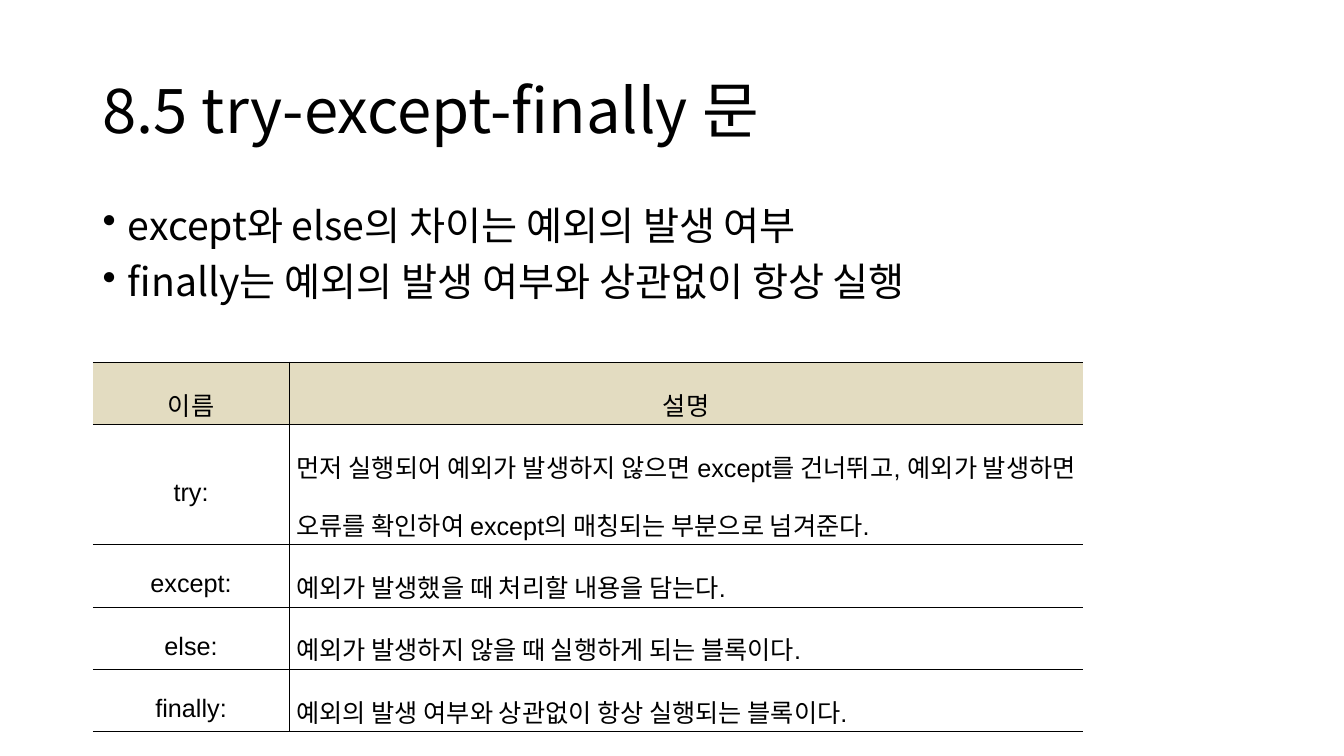
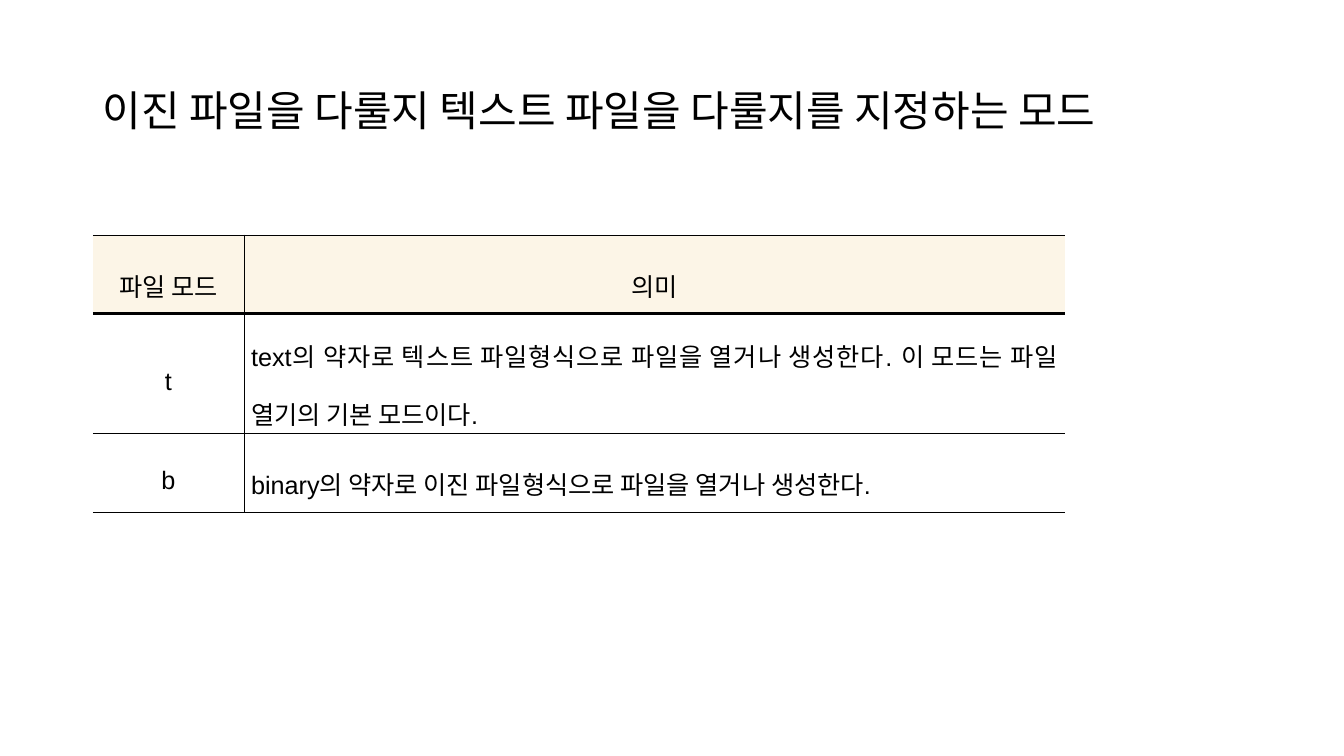
from dataclasses import dataclass

from lxml.etree import SubElement
from pptx import Presentation
from pptx.dml.color import RGBColor
from pptx.enum.text import MSO_ANCHOR as Anchor, PP_ALIGN as Align
from pptx.oxml.ns import qn
from pptx.util import Pt

EMU_PER_PX = 9144  # 100 px to the inch


def px(length: int) -> int:
    return length * EMU_PER_PX


@dataclass(frozen=True)
class Theme:
    ink: str = "000000"
    paper: str = "FFFFFF"
    sand: str = "E3DCC1"
    cream: str = "FCF5E7"
    heading_font: str = "Noto Sans CJK KR"
    cell_font: str = "Arial"
    title_size: int = 44
    small_title_size: int = 30
    body_size: int = 28
    cell_size: int = 18
    thin: float = 0.28
    thick: float = 1.98


THEME = Theme()


@dataclass(frozen=True)
class Box:
    left: int
    top: int
    width: int
    height: int


TITLE_BOX = Box(92, 40, 1150, 145)
BODY_BOX = Box(92, 200, 1150, 476)


@dataclass(frozen=True)
class TableSpec:
    top: int
    columns: tuple[int, ...]
    heights: tuple[int, ...]
    header_fill: str
    header_rule: float  # width of the line under the header
    rows: tuple[tuple[str, str], ...]


@dataclass(frozen=True)
class SlideSpec:
    title: str
    title_size: int
    bullets: tuple[str, ...]
    table: TableSpec


SLIDES = (
    SlideSpec(
        "8.5 try-except-finally 문",
        THEME.title_size,
        (
            "except와 else의 차이는 예외의 발생 여부",
            "finally는 예외의 발생 여부와 상관없이 항상 실행",
        ),
        TableSpec(
            359, (195, 787), (62, 119, 62, 62, 62), THEME.sand, THEME.thin,
            (
                ("이름", "설명"),
                ("try:", "먼저 실행되어 예외가 발생하지 않으면 except를 건너뛰고, 예외가 "
                         "발생하면 오류를 확인하여 except의 매칭되는 부분으로 넘겨준다."),
                ("except:", "예외가 발생했을 때 처리할 내용을 담는다."),
                ("else:", "예외가 발생하지 않을 때 실행하게 되는 블록이다."),
                ("finally:", "예외의 발생 여부와 상관없이 항상 실행되는 블록이다."),
            ),
        ),
    ),
    SlideSpec(
        "이진 파일을 다룰지 텍스트 파일을 다룰지를 지정하는 모드",
        THEME.small_title_size,
        (),
        TableSpec(
            233, (150, 814), (78, 119, 78), THEME.cream, THEME.thick,
            (
                ("파일 모드", "의미"),
                ("t", "text의 약자로 텍스트 파일형식으로 파일을 열거나 생성한다. "
                      "이 모드는 파일 열기의 기본 모드이다."),
                ("b", "binary의 약자로 이진 파일형식으로 파일을 열거나 생성한다."),
            ),
        ),
    ),
)


def style_paragraph(paragraph, font_name: str, size: int, spacing: float) -> None:
    paragraph.line_spacing = spacing
    font = paragraph.font
    font.name, font.size = font_name, Pt(size)
    font.color.rgb = RGBColor.from_string(THEME.ink)
    # Korean glyphs always come from the heading font
    properties = paragraph._p.pPr.find(qn("a:defRPr"))
    SubElement(properties, qn("a:ea"), typeface=THEME.heading_font)


def add_bullet(paragraph) -> None:
    properties = paragraph._p.pPr
    properties.set("marL", str(px(25)))
    properties.set("indent", str(px(-25)))
    bullet = SubElement(properties, qn("a:buChar"), char="•")
    properties.find(qn("a:defRPr")).addprevious(bullet)


def add_text(slide, box: Box, lines: tuple[str, ...], size: int,
             anchor: Anchor, bulleted: bool = False) -> None:
    shape = slide.shapes.add_textbox(
        px(box.left), px(box.top), px(box.width), px(box.height))
    frame = shape.text_frame
    frame.word_wrap = True
    frame.vertical_anchor = anchor
    frame.text = "\n".join(lines)
    for paragraph in frame.paragraphs:
        if bulleted:
            paragraph.space_before = Pt(10)
        style_paragraph(paragraph, THEME.heading_font, size, 0.9)
        if bulleted:
            add_bullet(paragraph)


def set_borders(cell, left: float, right: float, top: float, bottom: float) -> None:
    """Draw the four cell sides; a width of zero hides a side."""
    properties = cell._tc.get_or_add_tcPr()
    for side, width in zip("LRTB", (left, right, top, bottom)):
        line = SubElement(properties, qn(f"a:ln{side}"), w=str(int(Pt(width))))
        if width:
            fill = SubElement(line, qn("a:solidFill"))
            SubElement(fill, qn("a:srgbClr"), val=THEME.ink)
        else:
            SubElement(line, qn("a:noFill"))


def add_grid(slide, spec: TableSpec) -> None:
    table = slide.shapes.add_table(
        len(spec.rows), len(spec.columns), px(TITLE_BOX.left), px(spec.top),
        px(sum(spec.columns)), px(sum(spec.heights))).table
    table.first_row = table.horz_banding = False
    for column, width in zip(table.columns, spec.columns):
        column.width = px(width)
    for row, height in zip(table.rows, spec.heights):
        row.height = px(height)

    # Horizontal rules from top to bottom
    rules = [THEME.thin, spec.header_rule] + [THEME.thin] * (len(spec.rows) - 1)
    for row_index, texts in enumerate(spec.rows):
        is_header = row_index == 0
        for column_index, text in enumerate(texts):
            is_first = column_index == 0
            cell = table.cell(row_index, column_index)
            cell.text = text
            cell.vertical_anchor = Anchor.MIDDLE
            cell.margin_left = cell.margin_right = px(7)
            cell.margin_top = cell.margin_bottom = px(2)
            set_borders(cell,
                        0 if is_first else THEME.thin,
                        THEME.thin if is_first else 0,
                        rules[row_index], rules[row_index + 1])
            cell.fill.solid()
            cell.fill.fore_color.rgb = RGBColor.from_string(
                spec.header_fill if is_header else THEME.paper)
            paragraph = cell.text_frame.paragraphs[0]
            paragraph.alignment = (
                Align.CENTER if is_header or is_first else Align.JUSTIFY)
            style_paragraph(paragraph, THEME.cell_font, THEME.cell_size, 1.6)


def main() -> None:
    presentation = Presentation()
    presentation.slide_width, presentation.slide_height = px(1333), px(750)
    blank_layout = presentation.slide_layouts[6]
    for spec in SLIDES:
        slide = presentation.slides.add_slide(blank_layout)
        add_text(slide, TITLE_BOX, (spec.title,), spec.title_size, Anchor.MIDDLE)
        if spec.bullets:
            add_text(slide, BODY_BOX, spec.bullets, THEME.body_size, Anchor.TOP,
                     bulleted=True)
        add_grid(slide, spec.table)
    presentation.save("out.pptx")


if __name__ == "__main__":
    main()
